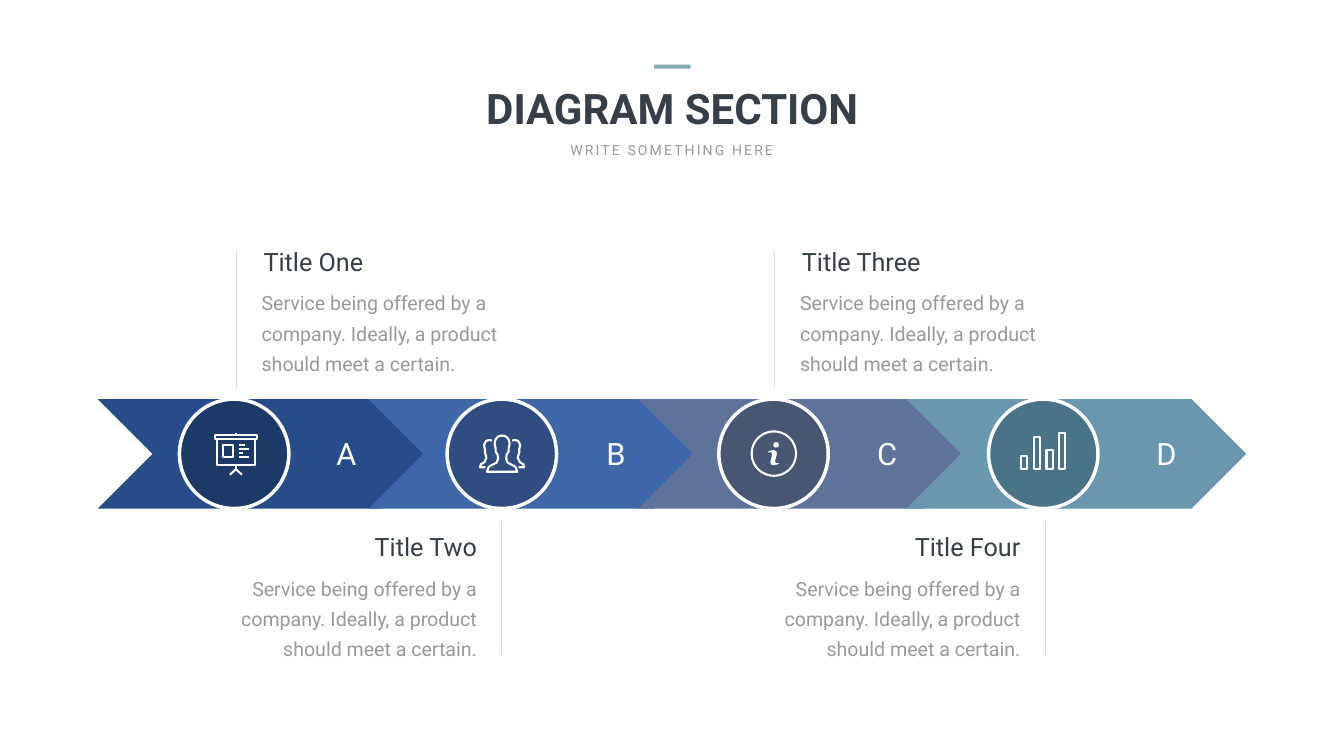
from dataclasses import dataclass

from lxml import etree
from pptx import Presentation
from pptx.dml.color import RGBColor
from pptx.enum.shapes import MSO_CONNECTOR, MSO_SHAPE
from pptx.enum.text import PP_ALIGN
from pptx.oxml.ns import qn
from pptx.util import Inches, Pt

RECTANGLE, CHEVRON, OVAL = MSO_SHAPE.RECTANGLE, MSO_SHAPE.CHEVRON, MSO_SHAPE.OVAL
STRAIGHT = MSO_CONNECTOR.STRAIGHT
LEFT, CENTER, RIGHT = PP_ALIGN.LEFT, PP_ALIGN.CENTER, PP_ALIGN.RIGHT


@dataclass(frozen=True)
class Theme:
    font: str = "Roboto"
    dark: RGBColor = RGBColor.from_string("363E48")
    grey: RGBColor = RGBColor.from_string("999999")
    rule: RGBColor = RGBColor.from_string("D9D9D9")
    accent: RGBColor = RGBColor.from_string("84ACB6")
    white: RGBColor = RGBColor.from_string("FFFFFF")
    heading_size: int = 60
    subtitle_size: int = 20
    letter_size: int = 44
    title_size: int = 36
    body_size: int = 28
    body_leading: int = 43
    ring_width: int = 5
    icon_width: int = 3


theme = Theme()
prs = Presentation()
prs.slide_width, prs.slide_height = Inches(26.66), Inches(15)
slide = prs.slides.add_slide(prs.slide_layouts[6])
shapes = slide.shapes


def add_text(text, left, top, width, height, size, color, align=CENTER, wrap=True):
    box = shapes.add_textbox(Inches(left), Inches(top), Inches(width), Inches(height))
    frame = box.text_frame
    frame.word_wrap = wrap
    frame.text = text
    paragraph = frame.paragraphs[0]
    paragraph.alignment = align
    font = paragraph.runs[0].font
    font.name, font.size = theme.font, Pt(size)
    font.color.rgb = color
    return frame


def draw_icon(boxes=(), strokes=(), filled=False):
    """Draw boxes (left, top, right, bottom) and point lists as one white freeform."""
    outlines = [[(l, t), (r, t), (r, b), (l, b), (l, t)] for l, t, r, b in boxes]
    outlines = [[(Inches(x), Inches(y)) for x, y in outline]
                for outline in outlines + list(strokes)]
    builder = shapes.build_freeform(*outlines[0][0])
    for outline in outlines:
        builder.move_to(*outline[0])
        builder.add_line_segments(outline[1:], close=False)
    icon = builder.convert_to_shape()
    icon.shadow.inherit = False
    if filled:
        icon.fill.solid()
        icon.fill.fore_color.rgb = theme.white
        icon.line.fill.background()
    else:
        icon.fill.background()
        icon.line.color.rgb = theme.white
        icon.line.width = Pt(theme.icon_width)


# Heading
heading = add_text("DIAGRAM SECTION", 8.18, 1.59, 10.31, 1.11, theme.heading_size, theme.dark)
heading.paragraphs[0].runs[0].font.bold = True
subtitle = add_text("WRITE SOMETHING HERE", 11.15, 2.75, 4.35, 0.44,
                    theme.subtitle_size, theme.grey, wrap=False)
subtitle.paragraphs[0].runs[0].font._element.set("spc", "300")
accent_bar = shapes.add_shape(RECTANGLE, Inches(12.97), Inches(1.28), Inches(0.73), Inches(0.08))
accent_bar.shadow.inherit = False
accent_bar.fill.solid()
accent_bar.fill.fore_color.rgb = theme.accent
accent_bar.line.fill.background()

# Arrow band: letter, title, arrow left, disc left, letter centre, rule x, arrow and disc colour
STEPS = [
    ("A", "Title One", 1.94, 3.56, 6.87, 4.68, "264D89", "1C3A67"),
    ("B", "Title Two", 7.31, 8.87, 12.22, 9.95, "3E67AA", "2F4D80"),
    ("C", "Title Three", 12.66, 14.26, 17.6, 15.36, "5D739A", "465673"),
    ("D", "Title Four", 17.98, 19.61, 23.14, 20.73, "6997AF", "497389"),
]
DESCRIPTION = "Service being offered by a company. Ideally, a product should meet a certain."
BAND_TOP, BAND_HEIGHT, ARROW_WIDTH = 7.92, 2.17, 6.74
LETTER_WIDTH, TITLE_WIDTH, BODY_WIDTH = 0.6, 3.97, 5.53

for _, _, arrow_x, _, _, _, arrow_color, _ in STEPS:
    arrow = shapes.add_shape(CHEVRON, Inches(arrow_x), Inches(BAND_TOP),
                             Inches(ARROW_WIDTH), Inches(BAND_HEIGHT))
    arrow.shadow.inherit = False
    arrow.fill.solid()
    arrow.fill.fore_color.rgb = RGBColor.from_string(arrow_color)
    arrow.line.fill.background()

for index, (letter, title, _, disc_x, letter_x, rule_x, _, disc_color) in enumerate(STEPS):
    disc = shapes.add_shape(OVAL, Inches(disc_x), Inches(BAND_TOP),
                            Inches(BAND_HEIGHT), Inches(BAND_HEIGHT))
    disc.shadow.inherit = False
    disc.fill.solid()
    disc.fill.fore_color.rgb = RGBColor.from_string(disc_color)
    disc.line.color.rgb = theme.white
    disc.line.width = Pt(theme.ring_width)
    add_text(letter, letter_x - LETTER_WIDTH / 2, 8.58, LETTER_WIDTH, 0.84,
             theme.letter_size, theme.white, wrap=False)

    # Odd steps are described above the band, even steps below it
    if index % 2 == 0:
        align, rule_top, text_top = LEFT, 5.01, 4.83
        title_x, body_x = rule_x + 0.45, rule_x + 0.27
    else:
        align, rule_top, text_top = RIGHT, 10.33, 10.49
        title_x, body_x = rule_x - 0.39 - TITLE_WIDTH, rule_x - 0.25 - BODY_WIDTH

    rule = shapes.add_connector(STRAIGHT, Inches(rule_x), Inches(rule_top + 2.66),
                                Inches(rule_x), Inches(rule_top))
    rule.line.color.rgb = theme.rule
    rule.line.width = Pt(1)
    etree.SubElement(rule._element.spPr, qn("a:effectLst"))

    body = add_text(DESCRIPTION, body_x, text_top + 0.7, BODY_WIDTH, 1.98,
                    theme.body_size, theme.grey, align)
    body.margin_left = body.margin_right = Inches(0.24)
    body.margin_top = body.margin_bottom = Inches(0.12)
    body.paragraphs[0].line_spacing = Pt(theme.body_leading)
    add_text(title, title_x, text_top, TITLE_WIDTH, 0.71, theme.title_size, theme.dark, align)

# Presentation board
draw_icon(
    boxes=[(4.26, 8.63, 5.1, 8.71), (4.3, 8.71, 5.06, 9.22), (4.42, 8.83, 4.62, 9.06)],
    strokes=[[(4.74, y), (end, y)]
             for y, end in [(8.83, 4.86), (8.91, 4.94), (8.98, 4.82), (9.06, 4.94)]]
    + [[(4.68, 8.59), (4.68, 8.63)], [(4.68, 9.22), (4.68, 9.31)],
       [(4.56, 9.42), (4.68, 9.31), (4.8, 9.42)]],
)

# Group of people, mirrored about its middle
PEOPLE_X = 9.96
front_half = [(PEOPLE_X, 9.36), (9.66, 9.36), (9.69, 9.27), (9.73, 9.24), (9.79, 9.21),
              (9.85, 9.18), (9.88, 9.1), (9.87, 9.02), (9.83, 8.96), (9.83, 8.89),
              (9.81, 8.8), (9.83, 8.72), (9.87, 8.67), (9.91, 8.65), (PEOPLE_X, 8.64)]
back_person = [(9.63, 9.27), (9.52, 9.27), (9.54, 9.21), (9.61, 9.17), (9.65, 9.08),
               (9.62, 8.98), (9.62, 8.91), (9.6, 8.83), (9.64, 8.75), (9.7, 8.73), (9.76, 8.74)]
halves = [front_half, back_person]
draw_icon(strokes=halves + [[(2 * PEOPLE_X - x, y) for x, y in half] for half in halves])

# Information sign
info_ring = shapes.add_shape(OVAL, Inches(14.91), Inches(8.56), Inches(0.88), Inches(0.88))
info_ring.shadow.inherit = False
info_ring.fill.background()
info_ring.line.color.rgb = theme.white
info_ring.line.width = Pt(theme.icon_width)
draw_icon(
    strokes=[
        [(15.39, 8.77), (15.35, 8.79), (15.34, 8.83), (15.35, 8.87), (15.39, 8.88),
         (15.44, 8.87), (15.45, 8.83), (15.44, 8.79), (15.39, 8.77)],
        [(15.25, 8.95), (15.34, 8.93), (15.4, 8.95), (15.41, 9.01), (15.38, 9.12),
         (15.38, 9.18), (15.41, 9.19), (15.45, 9.19), (15.44, 9.21), (15.35, 9.23),
         (15.3, 9.22), (15.28, 9.17), (15.31, 9.04), (15.31, 8.98), (15.28, 8.97),
         (15.24, 8.98), (15.25, 8.95)],
    ],
    filled=True,
)

# Bar graph
BAR_TOPS = [9.05, 8.67, 8.92, 8.59]
draw_icon(boxes=[(20.26 + 0.25 * i, top, 20.38 + 0.25 * i, 9.3) for i, top in enumerate(BAR_TOPS)])

prs.save("out.pptx")
